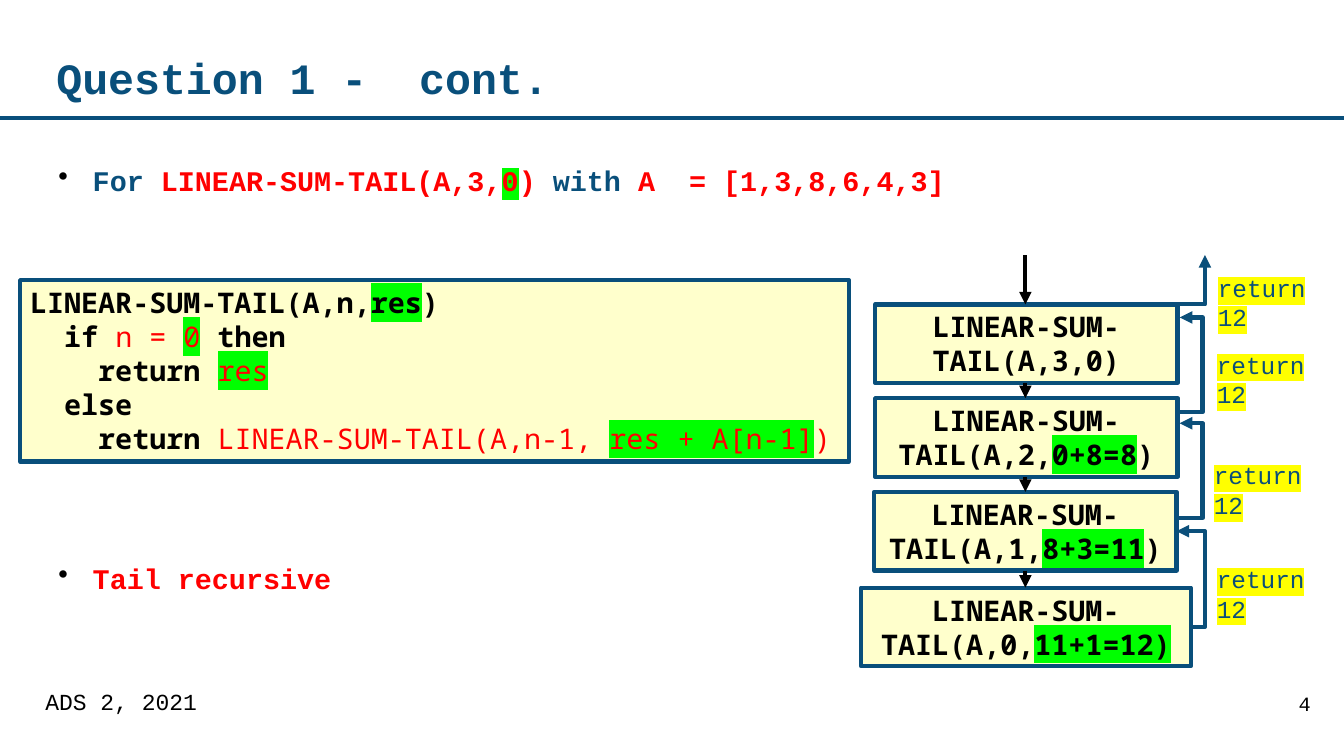
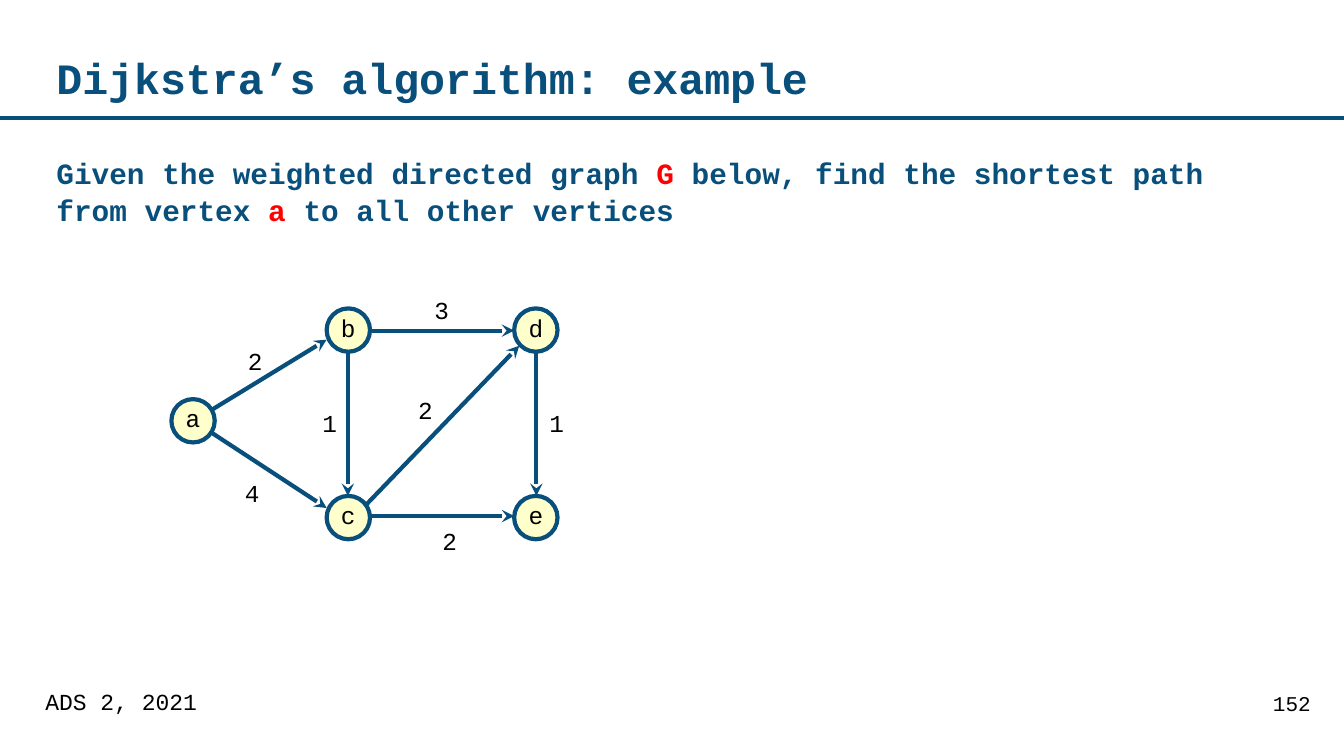
from dataclasses import dataclass
from typing import NamedTuple

from lxml import etree
from pptx import Presentation
from pptx.dml.color import RGBColor
from pptx.enum import shapes, text
from pptx.oxml import ns
from pptx.util import Inches, Pt


@dataclass(frozen=True)
class Theme:
    accent: str = "094F7B"
    trace: str = "0B4F7A"
    red: str = "FF0000"
    ink: str = "000000"
    cream: str = "FFFFCC"
    green: str = "00FF00"
    yellow: str = "FFFF00"
    sans: str = "Courier New"
    mono: str = "Noto Sans Mono"
    title_size: float = 30.9
    question_size: float = 21
    body_size: float = 20.3
    label_size: float = 17.4
    footer_size: float = 16.4
    rule_width: float = 2.75
    line_width: float = 3


THEME = Theme()


class Point(NamedTuple):
    x: float
    y: float


class Box(NamedTuple):
    left: float
    top: float
    width: float
    height: float


class Piece(NamedTuple):
    text: str
    color: str = THEME.ink
    bold: bool = True
    highlight: str = ""


@dataclass(frozen=True)
class Style:
    size: float
    font: str = THEME.sans
    align: text.PP_ALIGN = text.PP_ALIGN.LEFT
    anchor: text.MSO_ANCHOR = text.MSO_ANCHOR.TOP
    spacing: float = 1.0
    space_before: float = 0
    bullet: bool = False
    wrap: bool = True
    inset_x: float = 0.1
    inset_y: float = 0.05


class Call(NamedTuple):
    left: float
    top: float
    width: float
    pieces: list[Piece]


class Return(NamedTuple):
    start: Point
    end: Point
    turn: float
    label: Point


class Node(NamedTuple):
    name: str
    corner: Point


class Edge(NamedTuple):
    start: Point
    end: Point
    weight: str
    label: Point


CALL_HEIGHT = 0.78
CALL_AXIS = 10.17
NODE_SIZE = 0.43


def add_child(parent, tag: str, **attributes: str):
    return etree.SubElement(parent, ns.qn(tag), attributes)


def add_bullet(paragraph) -> None:
    properties = paragraph._p.get_or_add_pPr()
    properties.set("marL", str(Inches(0.36)))
    properties.set("indent", str(Inches(-0.34)))
    color = add_child(properties, "a:buClr")
    add_child(color, "a:srgbClr", val=THEME.ink)
    add_child(properties, "a:buChar", char="•")


def fill_text(shape, paragraphs: list[list[Piece]], style: Style) -> None:
    frame = shape.text_frame
    frame.word_wrap = style.wrap
    frame.vertical_anchor = style.anchor
    frame.margin_left = frame.margin_right = Inches(style.inset_x)
    frame.margin_top = frame.margin_bottom = Inches(style.inset_y)
    for index, pieces in enumerate(paragraphs):
        paragraph = frame.add_paragraph() if index else frame.paragraphs[0]
        if style.bullet:
            add_bullet(paragraph)
        paragraph.alignment = style.align
        paragraph.line_spacing = style.spacing
        if index:
            paragraph.space_before = Pt(style.space_before)
        for piece in pieces:
            run = paragraph.add_run()
            run.text = piece.text
            run.font.size = Pt(style.size)
            run.font.name = style.font
            run.font.bold = piece.bold
            run.font.color.rgb = RGBColor.from_string(piece.color)
            if piece.highlight:
                highlight = etree.Element(ns.qn("a:highlight"))
                add_child(highlight, "a:srgbClr", val=piece.highlight)
                run.font._element.find(ns.qn("a:solidFill")).addnext(highlight)


def add_text(slide, box: Box, paragraphs: list[list[Piece]], style: Style) -> None:
    fill_text(slide.shapes.add_textbox(*map(Inches, box)), paragraphs, style)


def add_panel(slide, kind, box: Box, paragraphs: list[list[Piece]], style: Style) -> None:
    shape = slide.shapes.add_shape(kind, *map(Inches, box))
    shape.shadow.inherit = False
    shape.fill.solid()
    shape.fill.fore_color.rgb = RGBColor.from_string(THEME.cream)
    shape.line.color.rgb = RGBColor.from_string(THEME.accent)
    shape.line.width = Pt(THEME.line_width)
    fill_text(shape, paragraphs, style)


def add_line(slide, start: Point, end: Point, color: str, head: str = "",
             width: float = THEME.line_width, kind=shapes.MSO_CONNECTOR.STRAIGHT):
    connector = slide.shapes.add_connector(kind, *map(Inches, (*start, *end)))
    connector.line.color.rgb = RGBColor.from_string(color)
    connector.line.width = Pt(width)
    if head:
        add_child(connector.line._get_or_add_ln(), "a:tailEnd", type=head)
    add_child(connector._element.spPr, "a:effectLst")
    return connector


def add_elbow(slide, start: Point, end: Point, bend: float):
    connector = add_line(slide, start, end, THEME.trace, "triangle",
                         kind=shapes.MSO_CONNECTOR.ELBOW)
    geometry = connector._element.spPr.find(ns.qn("a:prstGeom"))
    guides = geometry.find(ns.qn("a:avLst"))
    if guides is None:
        guides = add_child(geometry, "a:avLst")
    add_child(guides, "a:gd", name="adj1", fmla=f"val {round(bend * 100000)}")
    return connector


def add_upright_elbow(slide, start: Point, end: Point) -> None:
    middle = Point((start.x + end.x) / 2, (start.y + end.y) / 2)
    across, down = (end.x - start.x) / 2, (end.y - start.y) / 2
    connector = add_elbow(slide, Point(middle.x - down, middle.y + across),
                          Point(middle.x + down, middle.y - across), 0)
    connector._element.spPr.find(ns.qn("a:xfrm")).set("rot", str(90 * 60000))


def start_slide(presentation, title: str, number: str, number_size: float):
    slide = presentation.slides.add_slide(presentation.slide_layouts[6])
    add_line(slide, Point(0, 1.17), Point(13.33, 1.17), THEME.accent, width=THEME.rule_width)
    add_text(slide, Box(0.56, 0.33, 11.38, 0.86), [[Piece(title, THEME.accent)]],
             Style(THEME.title_size, anchor=text.MSO_ANCHOR.MIDDLE, spacing=1.04,
                   inset_x=0, inset_y=0))
    add_text(slide, Box(0.34, 6.82, 8.43, 0.52), [[Piece("ADS 2, 2021", bold=False)]],
             Style(THEME.footer_size, spacing=0.82, inset_x=0.11))
    add_text(slide, Box(10.96, 6.82, 2.15, 0.52), [[Piece(number, bold=False)]],
             Style(number_size, align=text.PP_ALIGN.RIGHT, spacing=0.96, inset_x=0.11))
    return slide


def build_recursion(presentation) -> None:
    slide = start_slide(presentation, "Question 1 -  cont.", "4", 14.5)
    red, accent, green = THEME.red, THEME.accent, THEME.green
    add_text(slide, Box(0.56, 1.55, 12.22, 5.12), [
        [Piece("For ", accent), Piece("LINEAR-SUM-TAIL(A,3,", red),
         Piece("0", red, highlight=green), Piece(")", red),
         Piece(" with ", accent), Piece("A  = [1,3,8,6,4,3]", red)],
        [Piece("Tail recursive", red)],
    ], Style(THEME.body_size, spacing=1.2, space_before=255, bullet=True, inset_x=0, inset_y=0))

    rectangle = shapes.MSO_SHAPE.RECTANGLE
    add_panel(slide, rectangle, Box(0.2, 2.78, 8.22, 1.8), [
        [Piece("LINEAR-SUM-TAIL(A,n,"), Piece("res", highlight=green), Piece(")")],
        [Piece("  if "), Piece("n = ", red, False), Piece("0", red, False, green),
         Piece(" then")],
        [Piece("    return "), Piece("res", red, False, green)],
        [Piece("  else")],
        [Piece("    return "), Piece("LINEAR-SUM-TAIL(A,n-1, ", red, False),
         Piece("res + A[n-1]", red, False, green), Piece(")", red, False)],
    ], Style(THEME.body_size, THEME.mono))

    calls = [
        Call(8.68, 3.02, 3, [Piece("LINEAR-SUM-TAIL(A,3,0)")]),
        Call(8.68, 3.95, 3, [Piece("LINEAR-SUM-TAIL(A,2,"),
                             Piece("0+8=8", highlight=green), Piece(")")]),
        Call(8.67, 4.88, 3, [Piece("LINEAR-SUM-TAIL(A,1,"),
                             Piece("8+3=11", highlight=green), Piece(")")]),
        Call(8.54, 5.83, 3.27, [Piece("LINEAR-SUM-TAIL(A,0,"),
                                Piece("11+1=12)", highlight=green)]),
    ]
    call_style = Style(THEME.body_size, THEME.mono, text.PP_ALIGN.CENTER)
    arrow_top = 2.53
    for call in calls:
        add_panel(slide, rectangle, Box(call.left, call.top, call.width, CALL_HEIGHT),
                  [call.pieces], call_style)
        add_line(slide, Point(CALL_AXIS, arrow_top), Point(CALL_AXIS, call.top),
                 THEME.ink, "triangle")
        arrow_top = call.top + CALL_HEIGHT

    returns = [
        Return(Point(11.69, 4.09), Point(11.7, 3.15), 11.93, Point(11.97, 3.42)),
        Return(Point(11.69, 5.14), Point(11.7, 4.2), 11.93, Point(11.94, 4.52)),
        Return(Point(11.8, 6.22), Point(11.67, 5.27), 11.95, Point(11.97, 5.55)),
    ]
    add_upright_elbow(slide, Point(11.67, 3.02), Point(11.95, 2.53))
    for step in returns:
        bend = (step.turn - step.start.x) / (step.end.x - step.start.x)
        add_elbow(slide, step.start, step.end, bend)
    for label in [Point(11.98, 2.66), *(step.label for step in returns)]:
        add_text(slide, Box(*label, 1.31, 0.39),
                 [[Piece("return 12", THEME.trace, False, THEME.yellow)]],
                 Style(THEME.label_size))


def build_graph(presentation) -> None:
    slide = start_slide(presentation, "Dijkstra’s algorithm: example", "152", 15)
    add_text(slide, Box(0.56, 1.51, 12.22, 5.16), [[
        Piece("Given the weighted directed graph ", THEME.accent), Piece("G", THEME.red),
        Piece(" below, find the shortest path from vertex ", THEME.accent),
        Piece("a", THEME.red), Piece(" to all other vertices", THEME.accent),
    ]], Style(THEME.question_size, spacing=1.07, inset_x=0, inset_y=0))

    edges = [
        Edge(Point(2.11, 4.06), Point(3.24, 3.37), "2", Point(2.36, 3.38)),
        Edge(Point(2.11, 4.3), Point(3.24, 5.04), "4", Point(2.33, 4.69)),
        Edge(Point(3.45, 3.49), Point(3.45, 4.92), "1", Point(3.1, 4)),
        Edge(Point(3.67, 3.28), Point(5.1, 3.28), "3", Point(4.21, 2.88)),
        Edge(Point(5.32, 3.49), Point(5.32, 4.92), "1", Point(5.35, 4)),
        Edge(Point(3.6, 5.04), Point(5.15, 3.43), "2", Point(4.05, 3.87)),
        Edge(Point(3.67, 5.12), Point(5.1, 5.12), "2", Point(4.29, 5.17)),
    ]
    for edge in edges:
        add_line(slide, edge.start, edge.end, THEME.accent, "stealth")
        add_text(slide, Box(*edge.label, 0.36, 0.39), [[Piece(edge.weight, bold=False)]],
                 Style(THEME.label_size, wrap=False))

    nodes = [Node("a", Point(1.7, 3.96)), Node("b", Point(3.24, 3.06)),
             Node("c", Point(3.24, 4.92)), Node("d", Point(5.1, 3.06)),
             Node("e", Point(5.1, 4.92))]
    node_style = Style(THEME.label_size, align=text.PP_ALIGN.CENTER,
                       anchor=text.MSO_ANCHOR.MIDDLE, spacing=0.82, wrap=False)
    for node in nodes:
        add_panel(slide, shapes.MSO_SHAPE.OVAL, Box(*node.corner, NODE_SIZE, NODE_SIZE),
                  [[Piece(node.name, bold=False)]], node_style)


def main() -> None:
    presentation = Presentation()
    presentation.slide_width = Inches(13.33)
    presentation.slide_height = Inches(7.5)
    build_recursion(presentation)
    build_graph(presentation)
    presentation.save("out.pptx")


if __name__ == "__main__":
    main()
